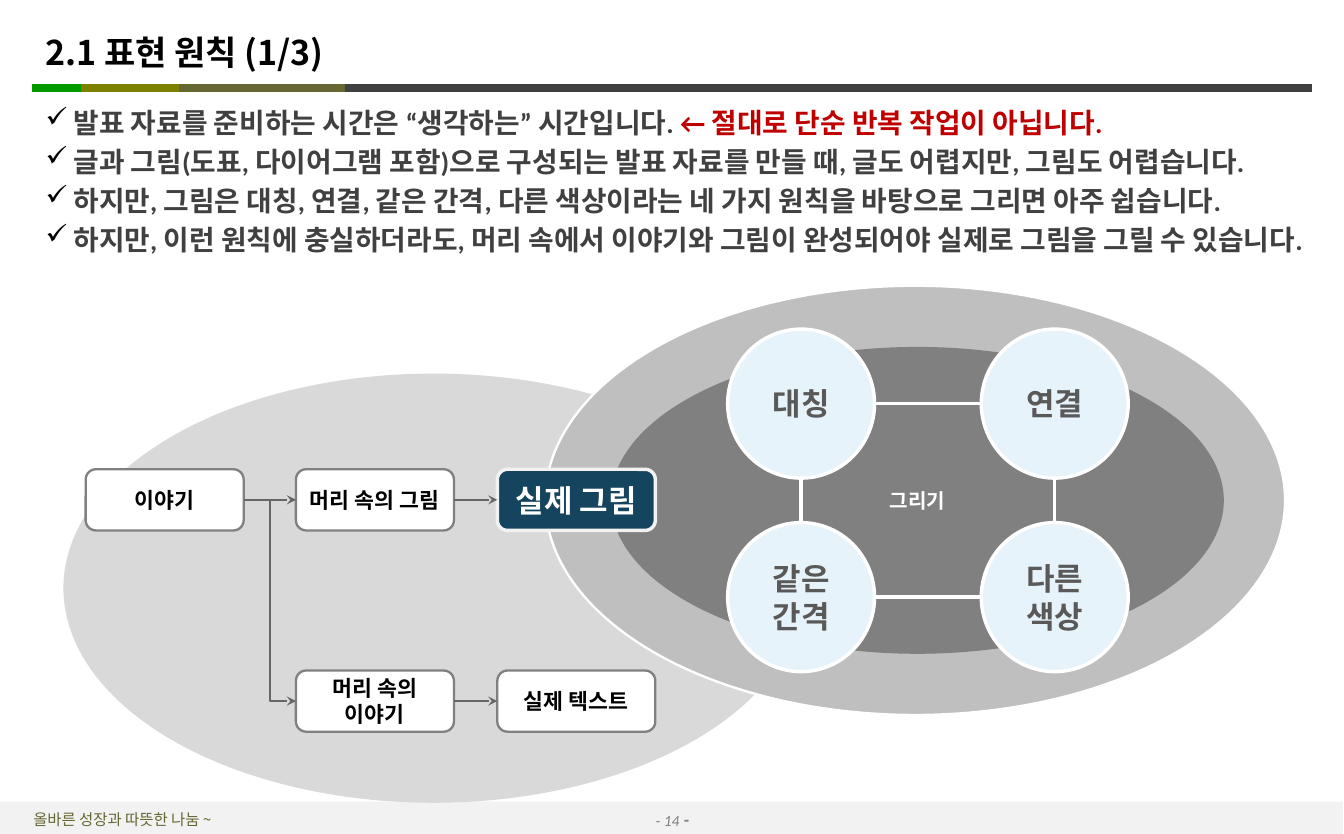
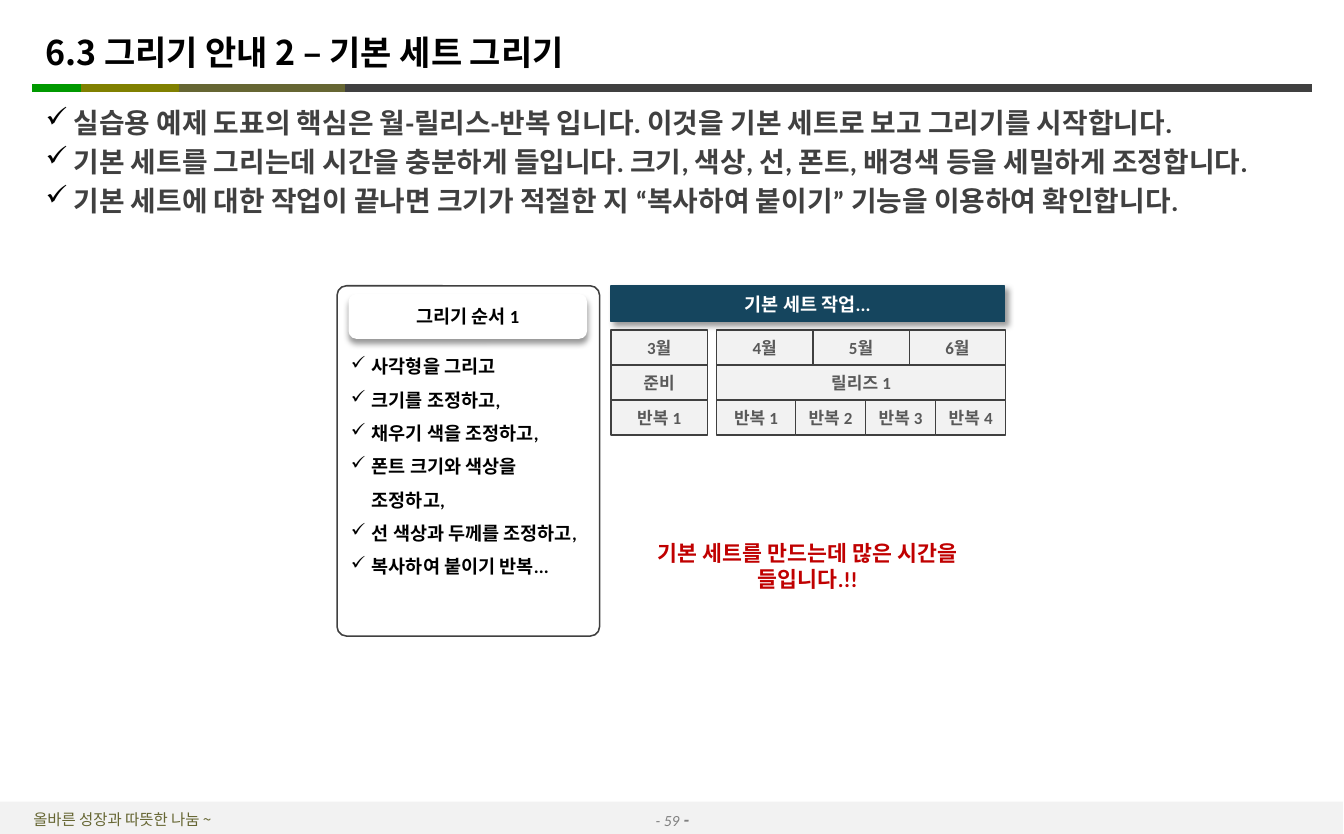
import pptx
import pptx.dml.color
import pptx.enum.shapes
import pptx.enum.text
import pptx.oxml
import pptx.oxml.ns
import pptx.util
from lxml import etree

Inches = pptx.util.Inches
Pt = pptx.util.Pt
Shape = pptx.enum.shapes.MSO_SHAPE
Connector = pptx.enum.shapes.MSO_CONNECTOR
Align = pptx.enum.text.PP_ALIGN
Anchor = pptx.enum.text.MSO_ANCHOR
qn = pptx.oxml.ns.qn

# Shared look
BODY_FONT = "Calibri"
TITLE_FONT = "Noto Sans CJK KR"
BLACK, WHITE = "000000", "FFFFFF"
CHARCOAL, DARK_GRAY, GRAY, PALE = "404040", "595959", "808080", "F2F2F2"
NAVY, RED, OLIVE, ICE, ARROW = "15455E", "C00000", "666633", "E6F3FA", "666666"
TIGHT = (0.04, 0.04)
RULE_Y = 0.79
RULE_PARTS = [(2.98, 11.79, CHARCOAL), (0.29, 1.09, "009900"),
              (0.73, 1.66, "808000"), (1.61, 3.1, OLIVE)]


def rgb(value):
    return pptx.dml.color.RGBColor.from_string(value)


# Text
def format_span(span, size, color, bold=True, italic=False, font=BODY_FONT):
    span.font.size = Pt(size)
    span.font.bold = bold
    span.font.italic = italic
    span.font.name = font
    span.font.color.rgb = rgb(color)
    east_asian = etree.SubElement(span.font._element, qn("a:ea"))
    east_asian.set("typeface", font)


def set_frame(frame, anchor, insets=(0.1, 0.05)):
    frame.word_wrap = True
    frame.vertical_anchor = anchor
    frame.margin_left = frame.margin_right = Inches(insets[0])
    frame.margin_top = frame.margin_bottom = Inches(insets[1])


def write(box, text, size, color, align=Align.CENTER, insets=(0.1, 0.05), **style):
    set_frame(box.text_frame, Anchor.MIDDLE, insets)
    box.text_frame.text = text
    para = box.text_frame.paragraphs[0]
    para.alignment = align
    format_span(para.runs[0], size, color, **style)


def add_check_mark(para, indent):
    properties = para._p.get_or_add_pPr()
    properties.set("marL", str(Inches(indent)))
    properties.set("indent", str(-Inches(indent)))
    bullet_color = etree.SubElement(properties, qn("a:buClr"))
    etree.SubElement(bullet_color, qn("a:srgbClr")).set("val", BLACK)
    etree.SubElement(properties, qn("a:buChar")).set("char", "✓")


def write_checklist(frame, items, size, color, indent, space=0, line_spacing=1.0):
    """Each item is a text, or a list of (text, color) spans."""
    for index, item in enumerate(items):
        para = frame.add_paragraph() if index else frame.paragraphs[0]
        add_check_mark(para, indent)
        para.alignment = Align.LEFT
        para.line_spacing = line_spacing
        if index and space:
            para.space_before = Pt(space)
        for text, span_color in [(item, color)] if isinstance(item, str) else item:
            span = para.add_run()
            span.text = text
            format_span(span, size, span_color)


# Shapes and lines
def add_text_box(page, left, top, width, height):
    return page.shapes.add_textbox(Inches(left), Inches(top),
                                   Inches(width), Inches(height))


def add_box(page, kind, left, top, width, height, fill, line=None, weight=1, corner=None):
    box = page.shapes.add_shape(kind, Inches(left), Inches(top),
                                Inches(width), Inches(height))
    box.shadow.inherit = False
    box.fill.solid()
    box.fill.fore_color.rgb = rgb(fill)
    if line:
        box.line.color.rgb = rgb(line)
        box.line.width = Pt(weight)
    else:
        box.line.fill.background()
    if corner is not None:
        box.adjustments[0] = corner
    return box


def add_shadow(box, angle):
    effects = box._element.spPr.find(qn("a:effectLst"))
    shadow = etree.SubElement(effects, qn("a:outerShdw"), blurRad=str(Pt(4)),
                              dist=str(Pt(3)), dir=str(angle * 60000),
                              algn="t", rotWithShape="0")
    color = etree.SubElement(shadow, qn("a:srgbClr"), val=BLACK)
    etree.SubElement(color, qn("a:alpha"), val="40000")


def add_line(page, start, end, color, weight, kind=Connector.STRAIGHT):
    line = page.shapes.add_connector(kind, *[Inches(value) for value in (*start, *end)])
    line.line.color.rgb = rgb(color)
    line.line.width = Pt(weight)
    etree.SubElement(line._element.spPr, qn("a:effectLst"))
    return line


def add_arrow(page, source, target, kind=Connector.STRAIGHT):
    arrow = add_line(page, (0, 0), (1, 1), ARROW, 1.5, kind)
    arrow.begin_connect(source, 3)
    arrow.end_connect(target, 1)
    etree.SubElement(arrow.line._get_or_add_ln(), qn("a:tailEnd"), type="stealth")


# Title, rule, checklist and footer of every slide
def add_page(deck, title, items, number):
    page = deck.slides.add_slide(deck.slide_layouts[6])
    add_box(page, Shape.RECTANGLE, 0, 7.21, 12.07, 0.29, PALE)
    write(add_text_box(page, 0, 7.24, 2.2, 0.26), "올바른 성장과 따뜻한 나눔 ~",
          10, OLIVE, bold=False, font=TITLE_FONT)
    for left, right, color in RULE_PARTS:
        add_line(page, (left, RULE_Y), (right, RULE_Y), color, 5)

    number_box = add_text_box(page, 5.06, 7.24, 1.97, 0.26)
    write(number_box, f"- {number}", 10, GRAY, bold=False, italic=True)
    dash = number_box.text_frame.paragraphs[0].add_run()
    dash.text = " -"
    format_span(dash, 12, GRAY, italic=True)

    write(add_text_box(page, 0.37, 0.15, 10, 0.63), title, 22, BLACK,
          Align.LEFT, TIGHT, font=TITLE_FONT)
    return page, items


def add_body(page, items):
    body = add_text_box(page, 0.37, 0.91, 11.34, 1.03)
    set_frame(body.text_frame, Anchor.TOP, TIGHT)
    write_checklist(body.text_frame, items, 18, CHARCOAL, 0.25, space=3.6)


# Slide 1
def add_principles(page):
    width, height = 1.32, 1.34
    columns, rows = (6.54, 8.82), (2.96, 4.7)
    names = [("대칭", "연결"), ("같은 간격", "다른 색상")]
    for top, row in zip(rows, names):
        for left, name in zip(columns, row):
            circle = add_box(page, Shape.OVAL, left, top, width, height, ICE, WHITE, 2.25)
            write(circle, name, 20, DARK_GRAY)
        middle = top + height / 2
        add_line(page, (columns[0] + width, middle), (columns[1], middle), WHITE, 2.25)
    for left in columns:
        center = left + width / 2
        add_line(page, (center, rows[1]), (center, rows[0] + height), WHITE, 2.25)


def add_step(page, left, top, text, fill=WHITE, line=GRAY, weight=1.5, size=14, color=BLACK):
    step = add_box(page, Shape.ROUNDED_RECTANGLE, left, top, 1.42, 0.55, fill, line, weight)
    write(step, text, size, color)
    return step


def build_principles_slide(deck):
    page, items = add_page(deck, "2.1 표현 원칙 (1/3)", [
        [("발표 자료를 준비하는 시간은 “생각하는” 시간입니다. ", CHARCOAL),
         ("← 절대로 단순 반복 작업이 아닙니다.", RED)],
        "글과 그림(도표, 다이어그램 포함)으로 구성되는 발표 자료를 만들 때, 글도 어렵지만, 그림도 어렵습니다.",
        "하지만, 그림은 대칭, 연결, 같은 간격, 다른 색상이라는 네 가지 원칙을 바탕으로 그리면 아주 쉽습니다.",
        "하지만, 이런 원칙에 충실하더라도, 머리 속에서 이야기와 그림이 완성되어야 실제로 그림을 그릴 수 있습니다.",
    ], 14)
    add_box(page, Shape.OVAL, 0.57, 3.36, 6.65, 3.86, "D9D9D9")
    add_box(page, Shape.OVAL, 4.9, 2.57, 6.65, 3.86, "BFBFBF", WHITE, 1.5)
    drawing = add_box(page, Shape.OVAL, 5.49, 3.12, 5.51, 2.76, GRAY)
    write(drawing, "그리기", 13, WHITE)
    add_body(page, items)
    add_principles(page)

    upper, lower = 4.22, 6.03
    story = add_step(page, 0.77, upper, "이야기")
    mental_image = add_step(page, 2.66, upper, "머리 속의 그림")
    real_image = add_step(page, 4.47, upper, "실제 그림", NAVY, PALE, 2.25, 20, WHITE)
    mental_story = add_step(page, 2.66, lower, "머리 속의 이야기")
    real_text = add_step(page, 4.47, lower, "실제 텍스트")
    add_arrow(page, story, mental_image)
    add_arrow(page, mental_image, real_image)
    add_arrow(page, mental_story, real_text)
    add_arrow(page, story, mental_story, Connector.ELBOW)


# Slide 2
def add_schedule(page):
    top, row_height = 2.97, 0.315
    blocks = [
        (5.49, [[("3월", 0.87)], [("준비", 0.87)], [("반복 1", 0.87)]]),
        (6.44, [[(f"{month}월", 2.6 / 3) for month in (4, 5, 6)],
                [("릴리즈 1", 2.6)],
                [("반복 1", 0.71)] + [(f"반복 {count}", 0.63) for count in (2, 3, 4)]]),
    ]
    for block_left, rows in blocks:
        for index, row in enumerate(rows):
            left = block_left
            for text, width in row:
                cell = add_box(page, Shape.RECTANGLE, left, top + index * row_height,
                               width, row_height, PALE, CHARCOAL)
                write(cell, text, 11, DARK_GRAY, insets=(0.04, 0.05))
                left += width


def build_basic_set_slide(deck):
    page, items = add_page(deck, "6.3 그리기 안내 2 – 기본 세트 그리기", [
        "실습용 예제 도표의 핵심은 월-릴리스-반복 입니다. 이것을 기본 세트로 보고 그리기를 시작합니다.",
        "기본 세트를 그리는데 시간을 충분하게 들입니다. 크기, 색상, 선, 폰트, 배경색 등을 세밀하게 조정합니다.",
        "기본 세트에 대한 작업이 끝나면 크기가 적절한 지 “복사하여 붙이기” 기능을 이용하여 확인합니다.",
    ], 59)
    add_body(page, items)
    add_schedule(page)

    banner = add_box(page, Shape.RECTANGLE, 5.49, 2.57, 3.54, 0.32, NAVY, NAVY)
    add_shadow(banner, 45)
    write(banner, "기본 세트 작업...", 12, WHITE)

    panel = add_box(page, Shape.ROUNDED_RECTANGLE, 3.03, 2.57, 2.36, 3.15,
                    WHITE, CHARCOAL, corner=0.036)
    set_frame(panel.text_frame, Anchor.MIDDLE)
    write_checklist(panel.text_frame, [
        "사각형을 그리고", "크기를 조정하고,", "채우기 색을 조정하고,",
        "폰트 크기와 색상을 조정하고,", "선 색상과 두께를 조정하고,", "복사하여 붙이기 반복...",
    ], 12, BLACK, 0.19, line_spacing=1.5)
    heading = add_box(page, Shape.ROUNDED_RECTANGLE, 3.14, 2.65, 2.13, 0.39, WHITE, WHITE)
    add_shadow(heading, 90)
    write(heading, "그리기 순서 1", 12, BLACK)

    message = add_box(page, Shape.ROUNDED_RECTANGLE, 5.49, 4.54, 3.54, 1.1,
                      WHITE, corner=0.059)
    write(message, "기본 세트를 만드는데 많은 시간을 들입니다.!!", 14, RED)


def main():
    deck = pptx.Presentation()
    deck.slide_width = Inches(12.08)
    deck.slide_height = Inches(7.5)
    build_principles_slide(deck)
    build_basic_set_slide(deck)
    deck.save("out.pptx")


if __name__ == "__main__":
    main()
